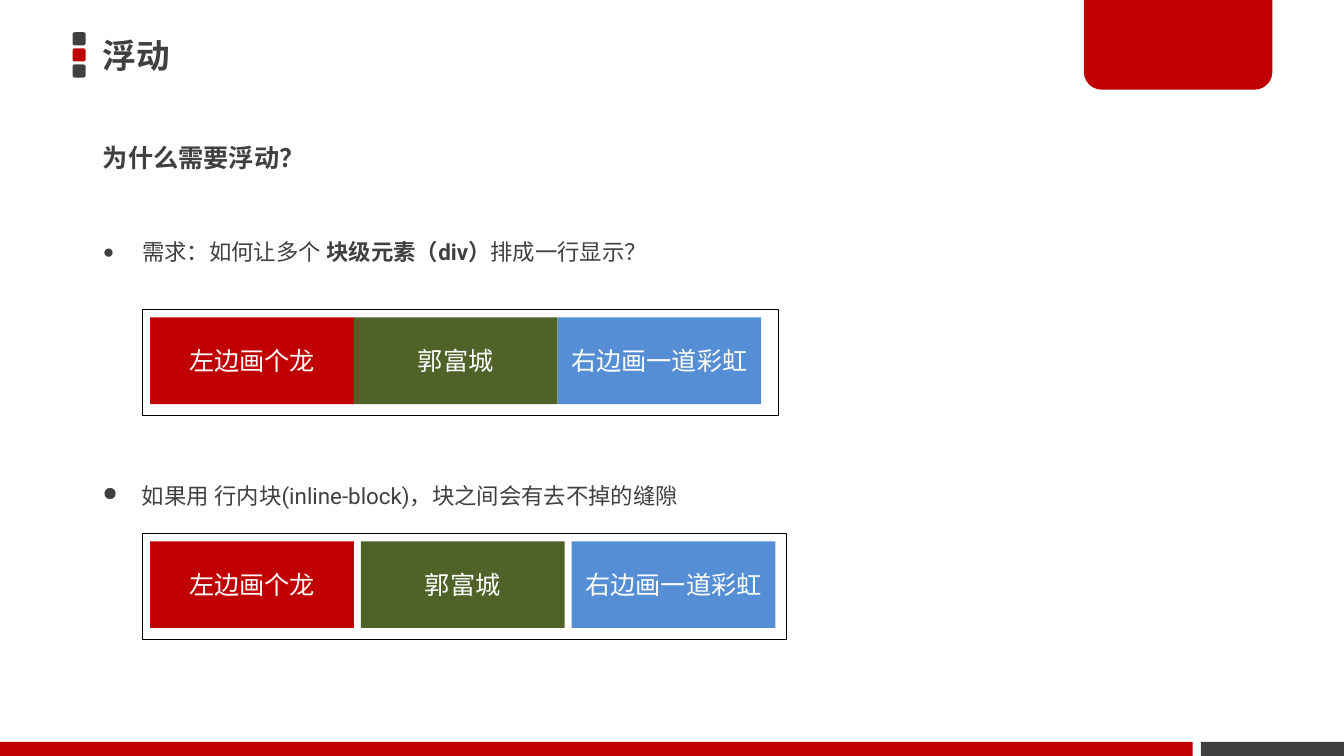
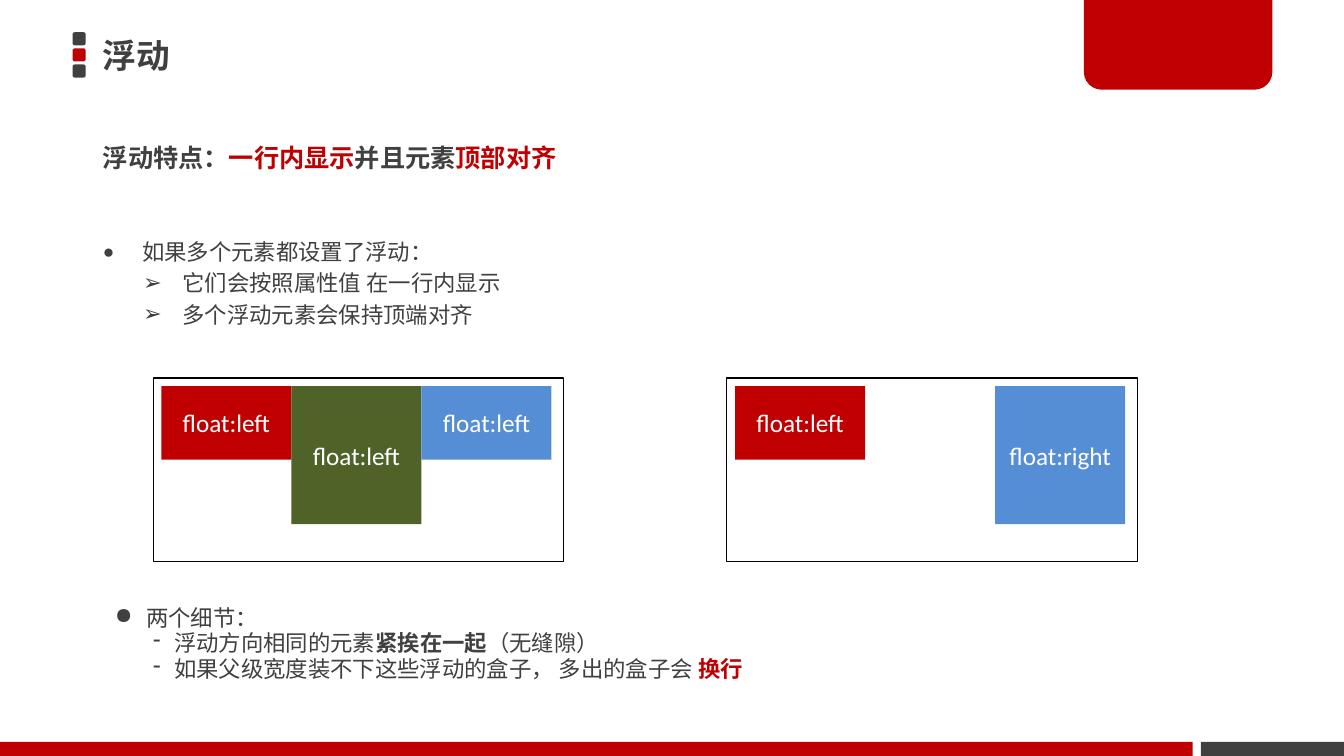
from lxml import etree
from pptx import Presentation
from pptx.dml.color import RGBColor
from pptx.enum import shapes, text
from pptx.oxml import ns
from pptx.util import Inches, Pt

RED = RGBColor(0xC0, 0x00, 0x00)
GREEN = RGBColor(0x4F, 0x62, 0x28)
BLUE = RGBColor(0x55, 0x8E, 0xD5)
GRAY = RGBColor(0x40, 0x40, 0x40)
WHITE = RGBColor(0xFF, 0xFF, 0xFF)
BLACK = RGBColor(0x00, 0x00, 0x00)

HEADING_FONT = "Noto Sans CJK JP"
BODY_FONT = "Roboto"
DETAIL_FONT = "Noto Sans CJK SC"
BOX_FONT = "Calibri"

RECT = shapes.MSO_SHAPE.RECTANGLE
FRAME_INSET = 0.08


def place(item, left, top, width, height):
    item.left, item.top = Inches(left), Inches(top)
    item.width, item.height = Inches(width), Inches(height)


def add_run(paragraph, words, size, font, color=GRAY, bold=False):
    run = paragraph.add_run()
    run.text = words
    run.font.size = Pt(size)
    run.font.bold = bold
    run.font.color.rgb = color
    run.font.name = font
    east_asian = etree.SubElement(run.font._element, ns.qn("a:ea"))
    east_asian.set("typeface", font)


def set_bullet(paragraph, char, indent, hanging, percent=100):
    props = paragraph._p.get_or_add_pPr()
    props.set("marL", str(Inches(indent)))
    props.set("indent", str(-Inches(hanging)))
    if not char:
        etree.SubElement(props, ns.qn("a:buNone"))
        return
    color = etree.SubElement(props, ns.qn("a:buClr"))
    etree.SubElement(color, ns.qn("a:srgbClr")).set("val", str(GRAY))
    etree.SubElement(props, ns.qn("a:buSzPct")).set("val", str(percent * 1000))
    etree.SubElement(props, ns.qn("a:buChar")).set("char", char)


def prepare_frame(holder, anchor):
    frame = holder.text_frame
    frame.word_wrap = True
    frame.auto_size = text.MSO_AUTO_SIZE.NONE
    frame.vertical_anchor = anchor
    return frame


def add_block(slide, shape, left, top, width, height, fill=None):
    block = slide.shapes.add_shape(
        shape, Inches(left), Inches(top), Inches(width), Inches(height))
    block.shadow.inherit = False
    if fill is None:
        block.fill.background()
        block.line.color.rgb = BLACK
        block.line.width = Pt(0.75)
    else:
        block.fill.solid()
        block.fill.fore_color.rgb = fill
        block.line.fill.background()
    return block


def add_box(slide, label, left, top, width, height, fill):
    box = add_block(slide, RECT, left, top, width, height, fill)
    frame = prepare_frame(box, text.MSO_ANCHOR.MIDDLE)
    paragraph = frame.paragraphs[0]
    paragraph.alignment = text.PP_ALIGN.CENTER
    add_run(paragraph, label, 18, BOX_FONT, WHITE)


def add_container(slide, left, top, width, height, box_width, boxes, gap=0):
    add_block(slide, RECT, left, top, width, height)
    for column, label, box_height, fill in boxes:
        box_left = left + FRAME_INSET + column * (box_width + gap)
        add_box(slide, label, box_left, top + FRAME_INSET, box_width, box_height, fill)


def decorate_layout(slide, layout):
    for row, color in enumerate((GRAY, RED, GRAY)):
        add_block(slide, shapes.MSO_SHAPE.ROUNDED_RECTANGLE,
                  0.72, 0.32 + row * 0.16, 0.13, 0.13, color)
    tab = add_block(slide, shapes.MSO_SHAPE.ROUND_2_SAME_RECTANGLE,
                    10.75, 0, 1.87, 0.89, RED)
    tab.adjustments[0], tab.adjustments[1] = 0, 0.2
    add_block(slide, RECT, 0, 7.36, 11.83, 0.14, RED)
    add_block(slide, RECT, 11.91, 7.36, 1.42, 0.14, GRAY)
    for block in list(slide.shapes):
        if not block.is_placeholder:
            layout.shapes.element.append(block.element)


def prepare_layout(layout):
    title, heading, points, *footers = layout.placeholders
    for footer in footers:
        footer.element.getparent().remove(footer.element)
    place(title, 0.92, 0.26, 9.59, 0.57)
    place(heading, 0.92, 1.28, 10.77, 0.57)
    place(points, 0.92, 2.18, 10.18, 0.57)


def fill_headings(slide, title, heading_runs):
    middle = text.MSO_ANCHOR.MIDDLE
    title_line = prepare_frame(slide.shapes.title, middle).paragraphs[0]
    title_line.alignment = text.PP_ALIGN.LEFT
    add_run(title_line, title, 24, HEADING_FONT, bold=True)
    heading = prepare_frame(slide.placeholders[1], middle).paragraphs[0]
    set_bullet(heading, None, 0, 0)
    heading.space_before = Pt(0)
    for words, color in heading_runs:
        add_run(heading, words, 18, HEADING_FONT, color, True)


def fill_list(holder, point, subpoints=(), font=BODY_FONT, mark="➢", indent=0.39,
              sub_indent=0.79, sub_hanging=0.39, percent=85,
              spacing=1.5, sub_spacing=1.0, sub_before=3.2):
    frame = prepare_frame(holder, text.MSO_ANCHOR.TOP)
    for index, runs in enumerate((point, *subpoints)):
        if index == 0:
            paragraph = frame.paragraphs[0]
            set_bullet(paragraph, "●", indent, indent, percent)
            paragraph.line_spacing, paragraph.space_before = spacing, Pt(0)
        else:
            paragraph = frame.add_paragraph()
            paragraph.level = 1
            set_bullet(paragraph, mark, sub_indent, sub_hanging)
            paragraph.line_spacing = sub_spacing
            paragraph.space_before = Pt(sub_before)
        paragraph.alignment = text.PP_ALIGN.LEFT
        for words, *style in runs:
            add_run(paragraph, words, 16, font, *style)


def add_text_area(slide, left, top, width, height):
    return slide.shapes.add_textbox(
        Inches(left), Inches(top), Inches(width), Inches(height))


def build_reason(slide):
    fill_headings(slide, "浮动", [("为什么需要浮动？", GRAY)])
    fill_list(slide.placeholders[2], [
        ("需求：如何让多个 ",), ("块级元素（div）", GRAY, True), ("排成一行显示？",)])
    names = [(0, "左边画个龙", 0.86, RED), (1, "郭富城", 0.86, GREEN),
             (2, "右边画一道彩虹", 0.86, BLUE)]
    add_container(slide, 1.41, 3.07, 6.31, 1.05, 2.02, names)
    fill_list(add_text_area(slide, 0.92, 4.6, 6.8, 0.57),
              [("如果用 行内块(inline-block)，块之间会有去不掉的缝隙",)])
    add_container(slide, 1.41, 5.29, 6.39, 1.05, 2.02, names, 0.07)


def build_features(slide):
    fill_headings(slide, "浮动", [("浮动特点：", GRAY), ("一行内显示", RED),
                                ("并且元素", GRAY), ("顶部对齐", RED)])
    points = slide.placeholders[2]
    place(points, 0.92, 2.18, 8.02, 1.57)
    fill_list(points, [("如果多个元素都设置了浮动：",)],
              [[("它们会按照属性值 在一行内显示",)], [("多个浮动元素会保持顶端对齐",)]])
    same_side = [(0, "float:left", 0.73, RED), (1, "float:left", 1.37, GREEN),
                 (2, "float:left", 0.73, BLUE)]
    both_sides = [(0, "float:left", 0.73, RED), (2, "float:right", 1.37, BLUE)]
    for left, boxes in ((1.52, same_side), (7.21, both_sides)):
        add_container(slide, left, 3.75, 4.07, 1.82, 1.29, boxes)
    fill_list(add_text_area(slide, 1.04, 5.86, 7.79, 1.19), [("两个细节：",)],
              [[("浮动方向相同的元素",), ("紧挨在一起", GRAY, True), ("（无缝隙）",)],
               [("如果父级宽度装不下这些浮动的盒子， 多出的盒子会 ",), ("换行", RED, True)]],
              font=DETAIL_FONT, mark="-", indent=0.31, sub_indent=0.59,
              sub_hanging=0.21, percent=100, spacing=1.3, sub_spacing=0.75,
              sub_before=3.8)


def main():
    deck = Presentation()
    deck.slide_width, deck.slide_height = Inches(13.33), Inches(7.5)
    layout = deck.slide_layouts.get_by_name("Two Content")
    prepare_layout(layout)
    reason = deck.slides.add_slide(layout)
    decorate_layout(reason, layout)
    build_reason(reason)
    build_features(deck.slides.add_slide(layout))
    deck.save("out.pptx")


if __name__ == "__main__":
    main()
